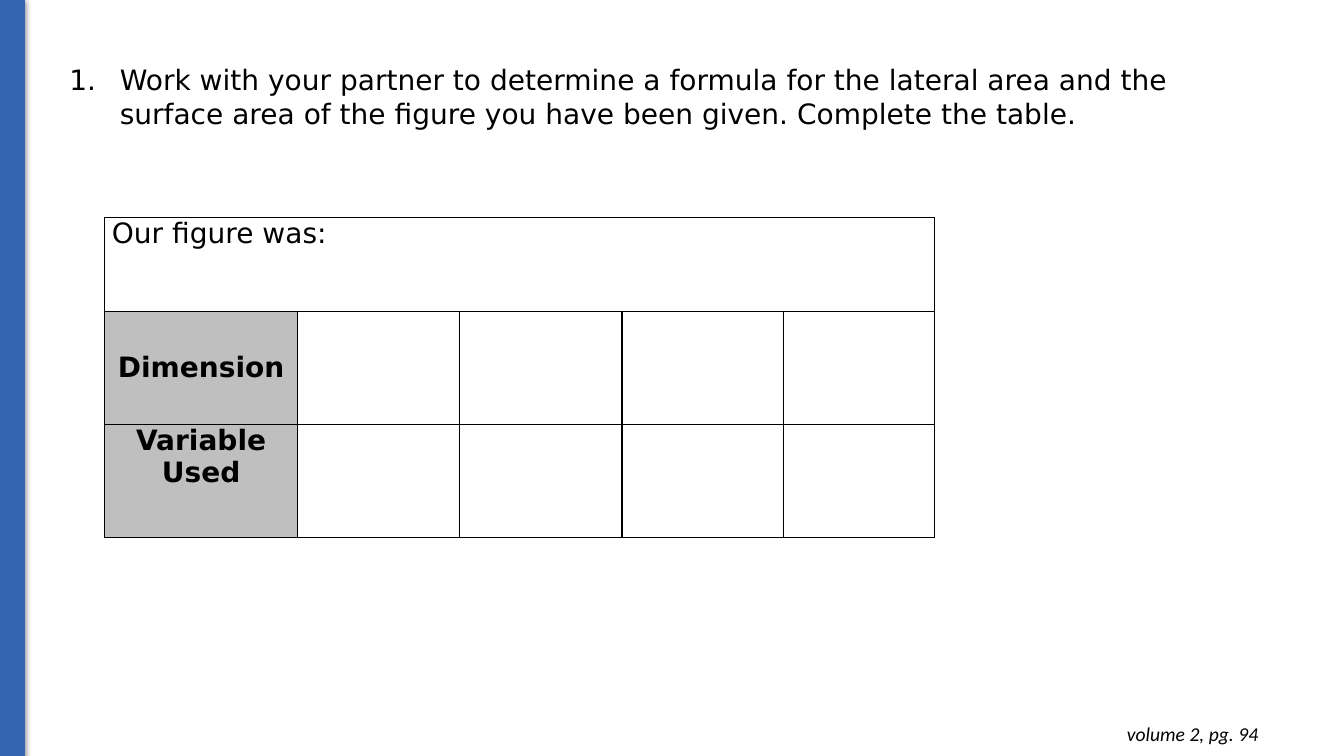
"""Build a worksheet slide with a task and a table for a figure's dimensions."""
from lxml import etree
from pptx import Presentation
from pptx import util as u
from pptx.dml.color import RGBColor
from pptx.enum import shapes, text
from pptx.oxml.ns import qn

COLORS = {"bar": "3465B0", "ink": "000000", "label": "BFBFBF"}
FONT = "DejaVu Sans"
LEFT, CENTER, RIGHT = text.PP_ALIGN.LEFT, text.PP_ALIGN.CENTER, text.PP_ALIGN.RIGHT
TOP, MIDDLE = text.MSO_ANCHOR.TOP, text.MSO_ANCHOR.MIDDLE


def px(value):
    return u.Emu(value * 9144)


def add_xml(parent, tag, **attributes):
    child = etree.SubElement(parent, qn(tag))
    for name, value in attributes.items():
        child.set(name, str(value))
    return child


class Worksheet:
    def __init__(self, width, height):
        self.presentation = Presentation()
        self.presentation.slide_width = px(width)
        self.presentation.slide_height = px(height)
        self.slide = self.presentation.slides.add_slide(self.presentation.slide_layouts[6])

    def color(self, name):
        return RGBColor.from_string(COLORS[name])

    def add_words(self, paragraph, words, size=20, font=FONT, bold=False, italic=False,
                  align=LEFT):
        paragraph.alignment = align
        run = paragraph.add_run()
        run.text = words
        run.font.name, run.font.size = font, u.Pt(size)
        run.font.bold, run.font.italic = bold, italic
        run.font.color.rgb = self.color("ink")

    def bar(self, *box):
        shape = self.slide.shapes.add_shape(shapes.MSO_SHAPE.RECTANGLE, *map(px, box))
        shape.fill.solid()
        shape.fill.fore_color.rgb = shape.line.color.rgb = self.color("bar")
        shape.line.width = u.Pt(0.75)
        shape.shadow.inherit = False
        effects = shape._element.spPr.find(qn("a:effectLst"))
        shadow = add_xml(effects, "a:outerShdw", blurRad=u.Pt(4.5), dist=u.Pt(1.5),
                         dir=5400000, rotWithShape=0)
        color = add_xml(shadow, "a:srgbClr", val=COLORS["ink"])
        add_xml(color, "a:alpha", val=50000)

    def text(self, box, words, inset=5, numbered=False, **style):
        shape = self.slide.shapes.add_textbox(*map(px, box))
        frame = shape.text_frame
        frame.word_wrap = True
        frame.margin_top = frame.margin_bottom = px(inset)
        paragraph = frame.paragraphs[0]
        if numbered:
            properties = paragraph._p.get_or_add_pPr()
            properties.set("marL", str(px(50)))
            properties.set("indent", str(px(-50)))
            add_xml(add_xml(properties, "a:buClr"), "a:srgbClr", val=COLORS["ink"])
            add_xml(properties, "a:buFont", typeface=FONT)
            add_xml(properties, "a:buAutoNum", type="arabicPeriod")
        self.add_words(paragraph, words, **style)

    def style_cell(self, cell, fill=None):
        cell.margin_left = cell.margin_right = px(7)
        cell.margin_top = cell.margin_bottom = 0
        properties = cell._tc.get_or_add_tcPr()
        for side in "LRTB":
            line = add_xml(properties, f"a:ln{side}", w=u.Pt(1))
            add_xml(add_xml(line, "a:solidFill"), "a:srgbClr", val=COLORS["ink"])
        if fill:
            cell.fill.solid()
            cell.fill.fore_color.rgb = self.color(fill)
        else:
            cell.fill.background()

    def table(self, left, top, widths, heights, title, labels):
        box = (left, top, sum(widths), sum(heights))
        table = self.slide.shapes.add_table(len(heights), len(widths), *map(px, box)).table
        table.first_row = table.horz_banding = False
        for column, width in zip(table.columns, widths):
            column.width = px(width)
        for row_index, height in enumerate(heights):
            table.rows[row_index].height = px(height)
            for column_index in range(len(widths)):
                is_label = row_index > 0 and column_index == 0
                self.style_cell(table.cell(row_index, column_index),
                                "label" if is_label else None)
        table.cell(0, 0).merge(table.cell(0, len(widths) - 1))
        self.add_words(table.cell(0, 0).text_frame.paragraphs[0], title)
        for row_index, (label, anchor) in enumerate(labels, start=1):
            cell = table.cell(row_index, 0)
            cell.vertical_anchor = anchor
            self.add_words(cell.text_frame.paragraphs[0], label, bold=True, align=CENTER)


def main():
    sheet = Worksheet(1333, 750)
    sheet.bar(0, -1, 24, 751)
    sheet.text((970, 706, 288, 44), "volume 2, pg. 94", inset=10,
               size=14, font="Calibri", italic=True, align=RIGHT)
    sheet.text((59, 57, 1123, 77),
               "Work with your partner to determine a formula for the lateral area and the "
               "surface area of the figure you have been given. Complete the table.",
               numbered=True)
    sheet.table(104, 216, (191, 161, 161, 160, 150), (93, 112, 112), "Our figure was:",
                (("Dimension", MIDDLE), ("Variable Used", TOP)))
    sheet.presentation.save("out.pptx")


if __name__ == "__main__":
    main()
